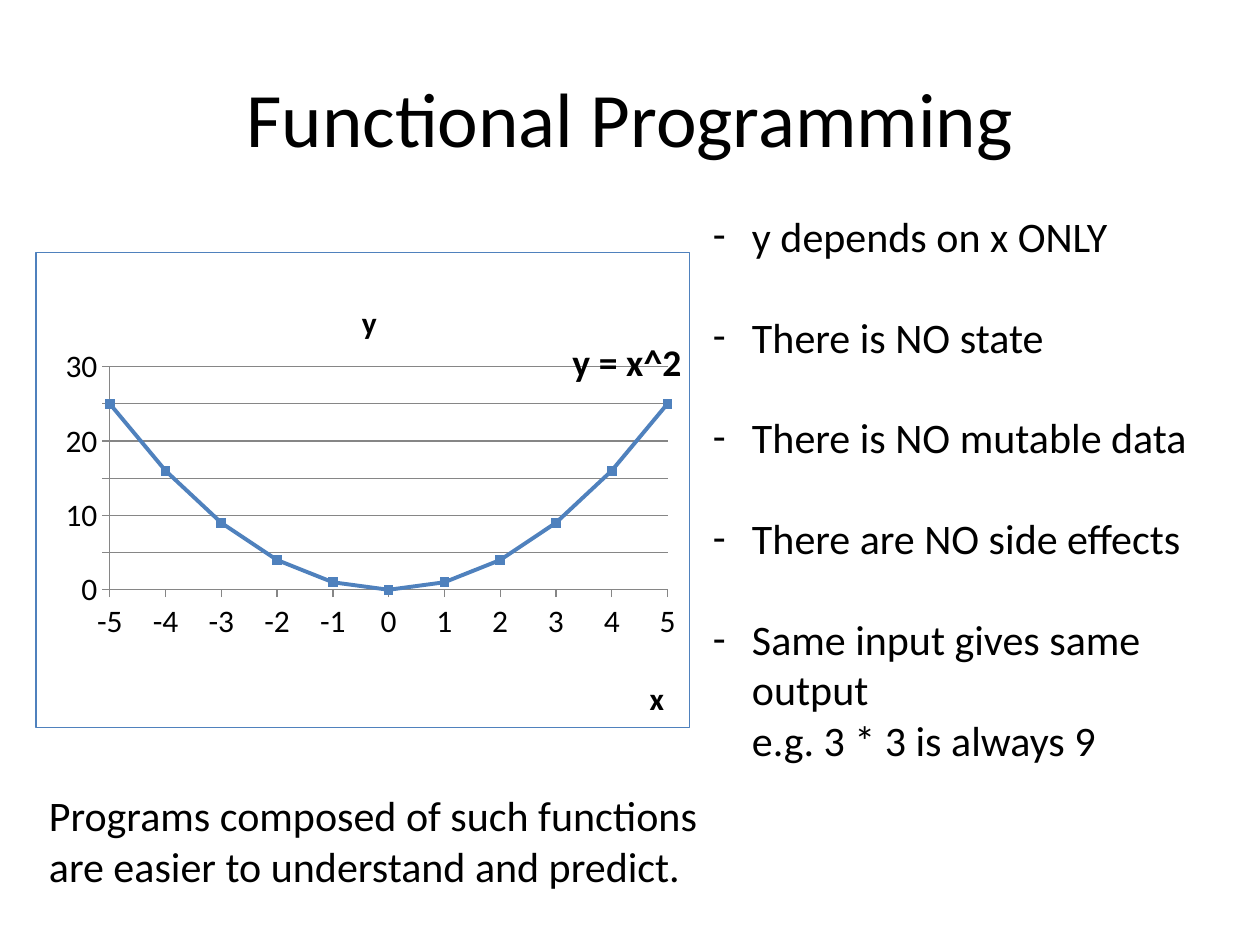
from lxml import etree
from pptx import Presentation
from pptx.chart.data import CategoryChartData
from pptx.dml.color import RGBColor
from pptx.enum.chart import XL_CHART_TYPE, XL_MARKER_STYLE, XL_TICK_MARK
from pptx.enum.text import MSO_ANCHOR, PP_ALIGN
from pptx.oxml import parse_xml
from pptx.oxml.ns import qn
from pptx.util import Inches, Pt

LINE_MARKERS = XL_CHART_TYPE.LINE_MARKERS
SQUARE = XL_MARKER_STYLE.SQUARE
TICK_OUT, TICK_NONE = XL_TICK_MARK.OUTSIDE, XL_TICK_MARK.NONE
TOP, MIDDLE = MSO_ANCHOR.TOP, MSO_ANCHOR.MIDDLE
LEFT, CENTER = PP_ALIGN.LEFT, PP_ALIGN.CENTER

# Content
TITLE = "Functional Programming"
PROPERTIES = [
    "y depends on x ONLY",
    "There is NO state",
    "There is NO mutable data",
    "There are NO side effects",
    "Same input gives same output\ne.g. 3 * 3 is always 9",
]
CONCLUSION = [
    "Programs composed of such functions",
    "are easier to understand and predict.",
]
FORMULA = "y = x^2"
X_VALUES = range(-5, 6)

THEME = {
    "font": "Calibri",
    "text": RGBColor.from_string("000000"),
    "series": RGBColor.from_string("4F81BD"),
    "axis": RGBColor.from_string("868686"),
    "title": 44, "body": 24, "chart_title": 21.6, "chart": 18,
}

# Places in inches: left, top, width, height
TITLE_BOX = (0.5, 0.3, 9, 1.25)
CHART_BOX = (0.28, 2, 5.2, 3.78)
LIST_BOX = (5.56, 1.62, 4.41, 4.85)
CONCLUSION_BOX = (0.29, 6.22, 5.39, 0.91)

# Places inside the chart, as shares of its size
PLOT_LAYOUT = {"x": 0.113, "y": 0.24, "w": 0.853, "h": 0.47}
TITLE_LAYOUT = {"x": 0.81, "y": 0.16}
X_LAYOUT = {"x": 0.93, "y": 0.88}
Y_LAYOUT = {"x": 0.49, "y": 0.09}


def style_font(font, size, bold=False):
    font.name, font.size, font.bold = THEME["font"], Pt(size), bold
    font.color.rgb = THEME["text"]


def add_text(slide, box, lines, size, align=LEFT, anchor=TOP, wrap=True,
             bullet=None, indent=0, gap=0):
    shape = slide.shapes.add_textbox(*map(Inches, box))
    frame = shape.text_frame
    frame.word_wrap, frame.vertical_anchor = wrap, anchor
    for index, line in enumerate(lines):
        paragraph = frame.paragraphs[0] if index == 0 else frame.add_paragraph()
        paragraph.alignment, paragraph.space_after = align, Pt(gap)
        for part_index, part in enumerate(line.split("\n")):
            if part_index:
                paragraph.add_line_break()
            run = paragraph.add_run()
            run.text = part
            style_font(run.font, size)
        if bullet:
            properties = paragraph._p.get_or_add_pPr()
            properties.set("marL", str(Inches(indent)))
            properties.set("indent", str(-Inches(indent)))
            etree.SubElement(properties, qn("a:buFont")).set("typeface", THEME["font"])
            etree.SubElement(properties, qn("a:buChar")).set("char", bullet)


def set_layout(parent, shares, inner=False):
    """Place a chart part by hand."""
    for old in parent.findall(qn("c:layout")):
        parent.remove(old)
    layout = etree.Element(qn("c:layout"))
    manual = etree.SubElement(layout, qn("c:manualLayout"))
    values = [("layoutTarget", "inner")] if inner else []
    values += [("xMode", "edge"), ("yMode", "edge"), *shares.items()]
    for name, value in values:
        etree.SubElement(manual, qn("c:" + name)).set("val", str(value))
    text = parent.find(qn("c:tx"))
    parent.insert(0 if text is None else parent.index(text) + 1, layout)


def title_part(part, text, size, shares):
    frame = part.text_frame
    frame.text = text
    style_font(frame.paragraphs[0].runs[0].font, size, bold=True)
    next(part._element.iter(qn("a:bodyPr"))).set("rot", "0")
    set_layout(part._element, shares)


def style_line(line, color, width=0.75):
    line.color.rgb, line.width = color, Pt(width)


def add_parabola(slide):
    data = CategoryChartData()
    data.categories = [str(x) for x in X_VALUES]
    data.add_series(FORMULA, [x ** 2 for x in X_VALUES])
    chart = slide.shapes.add_chart(LINE_MARKERS, *map(Inches, CHART_BOX), data).chart
    chart.has_legend = False
    style_font(chart.font, THEME["chart"])
    chart.has_title = True
    title_part(chart.chart_title, FORMULA, THEME["chart_title"], TITLE_LAYOUT)

    # Axes
    category_axis, value_axis = chart.category_axis, chart.value_axis
    for axis, name, shares in ((category_axis, "x", X_LAYOUT), (value_axis, "y", Y_LAYOUT)):
        axis.has_title = True
        title_part(axis.axis_title, name, THEME["chart"], shares)
        axis.major_tick_mark, axis.minor_tick_mark = TICK_OUT, TICK_NONE
        style_line(axis.format.line, THEME["axis"])
    value_axis.minimum_scale, value_axis.maximum_scale = 0, 30
    value_axis.major_unit = 5
    value_axis.has_major_gridlines = True
    style_line(value_axis.major_gridlines.format.line, THEME["axis"])
    category_axis.crosses_at = list(X_VALUES).index(0) + 1

    # Points sit on the tick marks
    element = value_axis._element
    between = element.find(qn("c:crossBetween"))
    if between is None:
        between = etree.Element(qn("c:crossBetween"))
        crossing = element.find(qn("c:crosses"))
        if crossing is None:
            crossing = element.find(qn("c:crossesAt"))
        crossing.addnext(between)
    between.set("val", "midCat")

    # Series
    plot = chart.plots[0]
    plot.vary_by_categories = False
    series = plot.series[0]
    series.smooth = False
    style_line(series.format.line, THEME["series"], 2.25)
    series.marker.style, series.marker.size = SQUARE, 5
    series.marker.format.fill.solid()
    series.marker.format.fill.fore_color.rgb = THEME["series"]
    style_line(series.marker.format.line, THEME["series"])

    # Plot place and chart border
    chart_element = chart._chartSpace.find(qn("c:chart"))
    set_layout(chart_element.find(qn("c:plotArea")), PLOT_LAYOUT, inner=True)
    chart_element.addnext(parse_xml(
        '<c:spPr xmlns:c="http://schemas.openxmlformats.org/drawingml/2006/chart" '
        'xmlns:a="http://schemas.openxmlformats.org/drawingml/2006/main"><a:noFill/>'
        f'<a:ln w="{Pt(0.75)}"><a:solidFill><a:srgbClr val="{THEME["series"]}"/>'
        '</a:solidFill></a:ln></c:spPr>'))


presentation = Presentation()
presentation.slide_width, presentation.slide_height = Inches(10), Inches(7.5)
slide = presentation.slides.add_slide(presentation.slide_layouts[6])

add_text(slide, TITLE_BOX, [TITLE], THEME["title"], align=CENTER, anchor=MIDDLE)
add_parabola(slide)
add_text(slide, LIST_BOX, PROPERTIES, THEME["body"], bullet="-", indent=0.31, gap=28.8)
add_text(slide, CONCLUSION_BOX, CONCLUSION, THEME["body"], wrap=False)

presentation.save("out.pptx")
